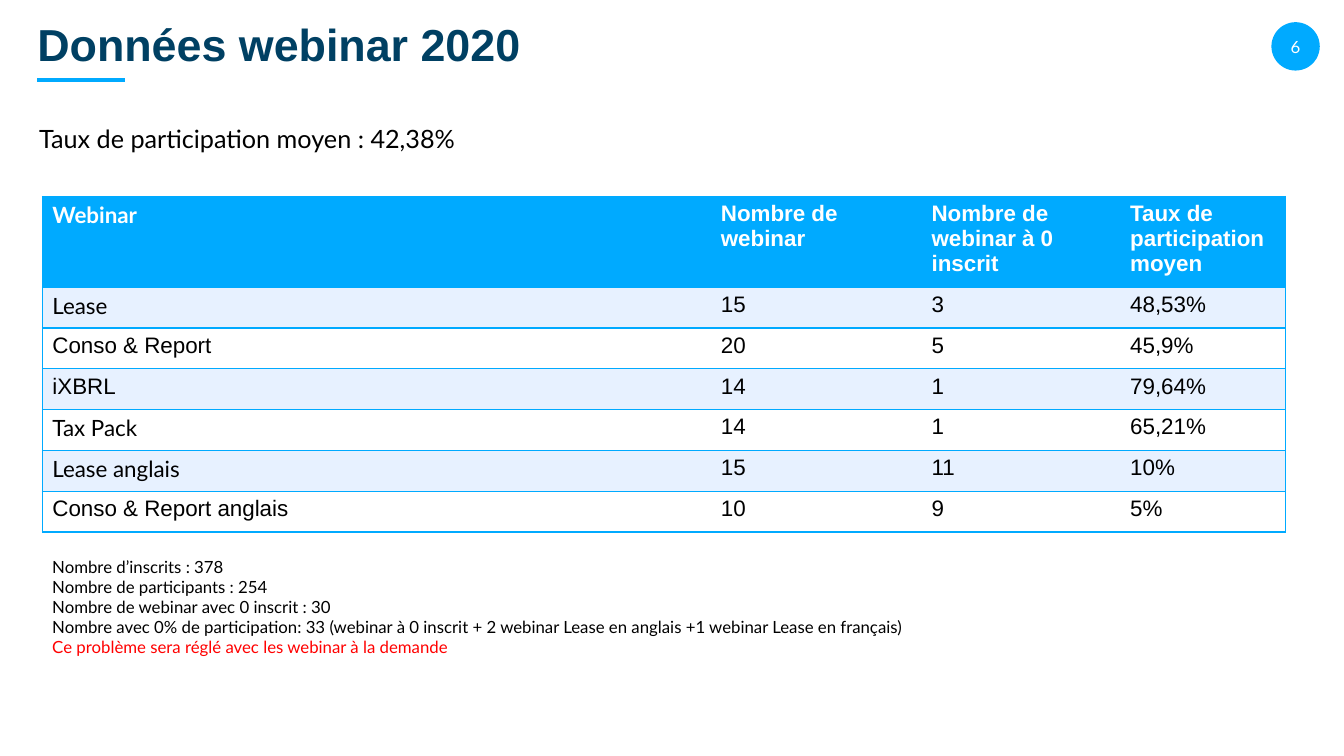
from lxml import etree
from pptx import Presentation
from pptx.dml.color import RGBColor
from pptx.enum.shapes import MSO_CONNECTOR, MSO_SHAPE
from pptx.enum.text import MSO_ANCHOR, MSO_AUTO_SIZE, PP_ALIGN
from pptx.oxml.ns import qn
from pptx.util import Inches, Pt

# Content
TITLE = "Données webinar 2020"
PAGE = "6"
SUMMARY = "Taux de participation moyen : 42,38%"
HEADER = ("Webinar", "Nombre de webinar", "Nombre de webinar à 0 inscrit",
          "Taux de participation moyen")
ROWS = [
    ("Lease", "15", "3", "48,53%"),
    ("Conso & Report", "20", "5", "45,9%"),
    ("iXBRL", "14", "1", "79,64%"),
    ("Tax Pack", "14", "1", "65,21%"),
    ("Lease anglais", "15", "11", "10%"),
    ("Conso & Report anglais", "10", "9", "5%"),
]
LATO_CELLS = {"Webinar", "Lease", "Tax Pack", "Lease anglais"}
NOTES = [
    "Nombre d’inscrits : 378",
    "Nombre de participants : 254",
    "Nombre de webinar avec 0 inscrit : 30",
    "Nombre avec 0% de participation: 33 (webinar à 0 inscrit "
    "+ 2 webinar Lease en anglais +1 webinar Lease en français)",
]
CONCLUSION = "Ce problème sera réglé avec les webinar à la demande"

# Style and grid, in inches
BLUE, NAVY, PALE = "00AAFF", "004063", "E7F1FF"
WHITE, BLACK, RED = "FFFFFF", "000000", "FF0000"
COLUMNS = (6.63, 2.09, 1.97, 1.64)
HEADER_HEIGHT, ROW_HEIGHT = 0.9, 0.405
TABLE_LEFT, TABLE_TOP = 0.42, 1.95


def color(hex_value):
    return RGBColor.from_string(hex_value)


def box(*lengths):
    return [Inches(length) for length in lengths]


def write(paragraph, text, size, font="Lato", ink=BLACK, bold=False):
    run = paragraph.add_run()
    run.text = text
    run.font.size, run.font.name, run.font.bold = Pt(size), font, bold
    run.font.color.rgb = color(ink)


def add_text(place, lines, size):
    """Add a text box from (text, colour) lines."""
    frame = slide.shapes.add_textbox(*box(*place)).text_frame
    frame.word_wrap = True
    frame.auto_size = MSO_AUTO_SIZE.SHAPE_TO_FIT_TEXT
    for i, (text, ink) in enumerate(lines):
        paragraph = frame.add_paragraph() if i else frame.paragraphs[0]
        write(paragraph, text, size, ink=ink)


def set_borders(cell, visible):
    """Draw the visible sides in blue and clear the others."""
    properties = cell._tc.get_or_add_tcPr()
    for i, side in enumerate(("lnL", "lnR", "lnT", "lnB")):
        line = etree.Element(qn("a:" + side), w=str(Pt(1)))
        if side in visible:
            fill = etree.SubElement(line, qn("a:solidFill"))
            etree.SubElement(fill, qn("a:srgbClr"), val=BLUE)
        else:
            etree.SubElement(line, qn("a:noFill"))
        properties.insert(i, line)


prs = Presentation()
prs.slide_width, prs.slide_height = box(13.33, 7.5)
slide = prs.slides.add_slide(prs.slide_layouts[5])

# Page number badge
badge = slide.shapes.add_shape(MSO_SHAPE.OVAL, *box(12.61, 0.22, 0.48, 0.48))
badge.shadow.inherit = False
badge.fill.solid()
badge.fill.fore_color.rgb = color(BLUE)
badge.line.fill.background()
frame = badge.text_frame
frame.margin_left = frame.margin_right = frame.margin_top = frame.margin_bottom = 0
frame.vertical_anchor = MSO_ANCHOR.MIDDLE
frame.paragraphs[0].alignment = PP_ALIGN.CENTER
write(frame.paragraphs[0], PAGE, 12, ink=WHITE)

# Title and its underline
title = slide.shapes.title
title.left, title.top, title.width, title.height = box(0.27, 0.13, 12.19, 0.68)
title.text_frame.vertical_anchor = MSO_ANCHOR.MIDDLE
title.text_frame.auto_size = MSO_AUTO_SIZE.NONE
heading = title.text_frame.paragraphs[0]
heading.alignment, heading.line_spacing = PP_ALIGN.LEFT, 0.9
write(heading, TITLE, 32, "Arial", NAVY, True)

underline = slide.shapes.add_connector(MSO_CONNECTOR.STRAIGHT,
                                       *box(0.37, 0.79, 1.24, 0.79))
underline.line.color.rgb = color(BLUE)
underline.line.width = Pt(3)
etree.SubElement(underline._element.spPr, qn("a:effectLst"))

add_text((0.29, 1.17, 12.56, 0.4), [(SUMMARY, BLACK)], 18)

# Table of webinars
records = [HEADER] + ROWS
heights = [HEADER_HEIGHT] + [ROW_HEIGHT] * len(ROWS)
table = slide.shapes.add_table(
    len(records), len(COLUMNS),
    *box(TABLE_LEFT, TABLE_TOP, sum(COLUMNS), sum(heights))).table
for column, width in zip(table.columns, COLUMNS):
    column.width = Inches(width)
for r, record in enumerate(records):
    table.rows[r].height = Inches(heights[r])
    is_header = r == 0
    background = BLUE if is_header else PALE if r % 2 else WHITE
    for c, text in enumerate(record):
        cell = table.cell(r, c)
        cell.fill.solid()
        cell.fill.fore_color.rgb = color(background)
        write(cell.text_frame.paragraphs[0], text, 16,
              "Lato" if text in LATO_CELLS else "Arial",
              WHITE if is_header else BLACK, is_header)
        sides = {"lnT", "lnB"}
        if c == 0:
            sides.add("lnL")
        if c == len(COLUMNS) - 1:
            sides.add("lnR")
        set_borders(cell, sides)

# Notes under the table
add_text((TABLE_LEFT, 5.47, 12.56, 1.11),
         [(note, BLACK) for note in NOTES] + [(CONCLUSION, RED)], 12)

prs.save("out.pptx")
